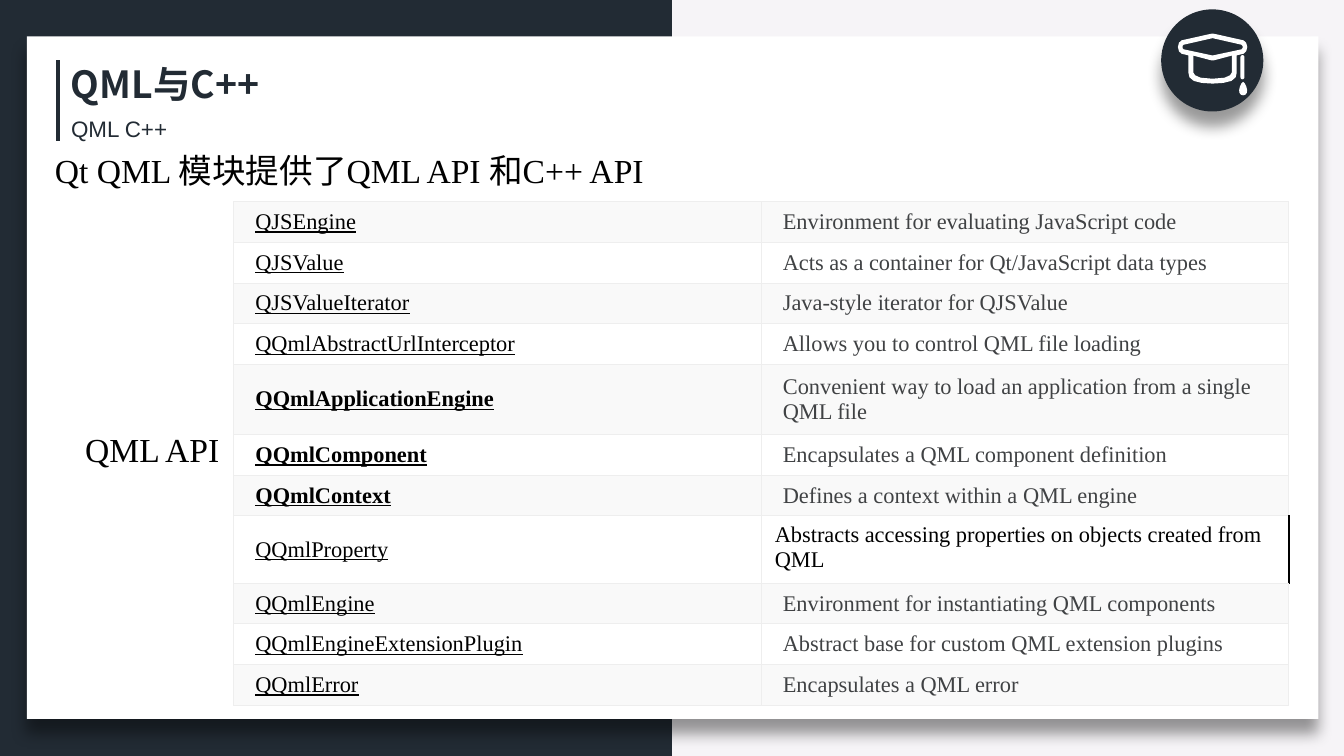
"""Build the slide on QML and C++ with its table of QML API classes."""
from lxml import etree
from pptx import Presentation
from pptx import util as u
from pptx.dml.color import RGBColor
from pptx.enum import shapes, text
from pptx.oxml import parse_xml
from pptx.oxml.ns import nsdecls, qn

Inches, Pt = u.Inches, u.Pt
COLORS = {
    "navy": "222B34", "paper": "F6F4F7", "white": "FFFFFF", "black": "000000",
    "stripe": "F9F9F9", "grid": "EEEEEE", "gray": "404244",
}
SERIF, SANS, CJK = "Times New Roman", "Arial", "Noto Sans CJK SC"


def write(paragraph, wording, size, name, color, bold=False, underline=False):
    paragraph.add_run().text = wording
    font = paragraph.font
    font.size, font.name, font.bold, font.underline = Pt(size), name, bold, underline
    font.color.rgb = RGBColor.from_string(COLORS[color])
    etree.SubElement(font._element, qn("a:ea")).set("typeface", CJK)


def paint(shape, color, shadow=False):
    shape.fill.solid()
    shape.fill.fore_color.rgb = RGBColor.from_string(COLORS[color])
    shape.line.fill.background()
    shape.shadow.inherit = False
    if shadow:
        effects = shape._element.spPr.find(qn("a:effectLst"))
        effects.append(parse_xml(
            f'<a:outerShdw {nsdecls("a")} blurRad="{Pt(8)}" dist="{Pt(8)}" dir="5400000" '
            f'algn="t" rotWithShape="0"><a:srgbClr val="{COLORS["black"]}">'
            '<a:alpha val="40000"/></a:srgbClr></a:outerShdw>'))


presentation = Presentation()
presentation.slide_width = Inches(10)
presentation.slide_height = Inches(10) * 9 // 16
slide = presentation.slides.add_slide(presentation.slide_layouts[6])
slide.background.fill.solid()
slide.background.fill.fore_color.rgb = RGBColor.from_string(COLORS["paper"])

PRESETS = shapes.MSO_SHAPE
panel = slide.shapes.add_shape(
    PRESETS.RECTANGLE, 0, 0, Inches(5), presentation.slide_height)
paint(panel, "navy")
for preset, box, color, shadow in [
    (PRESETS.RECTANGLE, (0.2, 0.27, 9.61, 5.08), "white", True),
    (PRESETS.OVAL, (8.64, 0.07, 0.76, 0.76), "navy", True),
    (PRESETS.ROUNDED_RECTANGLE, (9.23, 0.41, 0.03, 0.18), "white", False),
]:
    shape = slide.shapes.add_shape(preset, *map(Inches, box))
    paint(shape, color, shadow)
    if preset == PRESETS.ROUNDED_RECTANGLE:
        shape.adjustments[0] = 0.5

cap_halves = [
    [(0, 250), (15, 252), (230, 300), (250, 318), (258, 350), (250, 382), (230, 400),
     (180, 412), (180, 540), (172, 575), (140, 602), (80, 617), (0, 622)],
    [(0, 284), (215, 333), (223, 342), (223, 358), (215, 367), (0, 413)],
    [(0, 450), (15, 448), (143, 414), (143, 540), (130, 560), (90, 578), (0, 586)],
]
drop_halves = [[(0, 610), (12, 620), (24, 645), (30, 672), (27, 692), (16, 706), (0, 710)]]
for center, halves in [(9022, cap_halves), (9250, drop_halves)]:
    builder = slide.shapes.build_freeform(center, halves[0][0][1], scale=Inches(1) / 1000)
    for half in halves:
        outline = [(center + x, y) for x, y in half]
        outline += [(center - x, y) for x, y in reversed(half[1:-1])]
        if half is not halves[0]:
            builder.move_to(*outline[0])
        builder.add_line_segments(outline[1:], close=True)
    paint(builder.convert_to_shape(), "white")

accent = slide.shapes.add_connector(
    shapes.MSO_CONNECTOR.STRAIGHT, Inches(0.43), Inches(0.45), Inches(0.43), Inches(1.05))
accent.line.color.rgb = RGBColor.from_string(COLORS["navy"])
accent.line.width = Pt(2.25)
etree.SubElement(accent._element.spPr, qn("a:effectLst"))

for box, wording, size, name, color, bold, wrap, rotation in [
    ((0.43, 0.41, 1.77, 0.44), "QML与C++", 20, CJK, "navy", True, False, 0),
    ((0.43, 0.81, 0.92, 0.3), "QML C++", 12, SANS, "navy", False, False, 0),
    ((0.31, 1.07, 4.63, 0.4), "Qt QML 模块提供了QML API 和C++ API", 18, SERIF, "black",
     False, True, 0),
    ((0.84, 2.84, 0.5, 1.11), "QML API", 18, SERIF, "black", False, False, 270),
]:
    textbox = slide.shapes.add_textbox(*map(Inches, box))
    textbox.rotation = rotation
    frame = textbox.text_frame
    frame.word_wrap = wrap
    if rotation:
        frame._txBody.bodyPr.set("vert", "eaVert")
    write(frame.paragraphs[0], wording, size, name, color, bold)

classes = [
    ("QJSEngine", "Environment for evaluating JavaScript code"),
    ("QJSValue", "Acts as a container for Qt/JavaScript data types"),
    ("QJSValueIterator", "Java-style iterator for QJSValue"),
    ("QQmlAbstractUrlInterceptor", "Allows you to control QML file loading"),
    ("QQmlApplicationEngine", "Convenient way to load an application from a single QML file"),
    ("QQmlComponent", "Encapsulates a QML component definition"),
    ("QQmlContext", "Defines a context within a QML engine"),
    ("QQmlProperty", "Abstracts accessing properties on objects created from QML"),
    ("QQmlEngine", "Environment for instantiating QML components"),
    ("QQmlEngineExtensionPlugin", "Abstract base for custom QML extension plugins"),
    ("QQmlError", "Encapsulates a QML error"),
]
key_classes = {"QQmlApplicationEngine", "QQmlComponent", "QQmlContext"}
tall_rows = {"QQmlApplicationEngine": Inches(0.52), "QQmlProperty": Inches(0.5)}
table_height = Inches(3.75)
row_height = (table_height - sum(tall_rows.values())) // (len(classes) - len(tall_rows))

table = slide.shapes.add_table(
    len(classes), 2, Inches(1.74), Inches(1.5), Inches(7.85), table_height).table
table.first_row = table.horz_banding = False
for row, entry in enumerate(classes):
    table.rows[row].height = tall_rows.get(entry[0], row_height)
    for column, wording in enumerate(entry):
        cell = table.cell(row, column)
        plain = entry[0] == "QQmlProperty" and column == 1
        side, edge = (0.1, 0.05) if plain else (0.16, 0.04)
        cell.margin_left = cell.margin_right = Inches(side)
        cell.margin_top = cell.margin_bottom = Inches(edge)
        cell.vertical_anchor = text.MSO_ANCHOR.TOP if plain else text.MSO_ANCHOR.MIDDLE
        for border in ("lnL", "lnR", "lnT", "lnB"):
            dark = plain and border == "lnR"
            color, width = ("black", 1) if dark else ("grid", 0.6)
            cell._tc.get_or_add_tcPr().append(parse_xml(
                f'<a:{border} {nsdecls("a")} w="{Pt(width)}"><a:solidFill>'
                f'<a:srgbClr val="{COLORS[color]}"/></a:solidFill></a:{border}>'))
        cell.fill.solid()
        cell.fill.fore_color.rgb = RGBColor.from_string(COLORS["white" if row % 2 else "stripe"])
        write(cell.text_frame.paragraphs[0], wording, 12, SERIF,
              "black" if plain or column == 0 else "gray",
              bold=wording in key_classes, underline=column == 0)

presentation.save("out.pptx")
